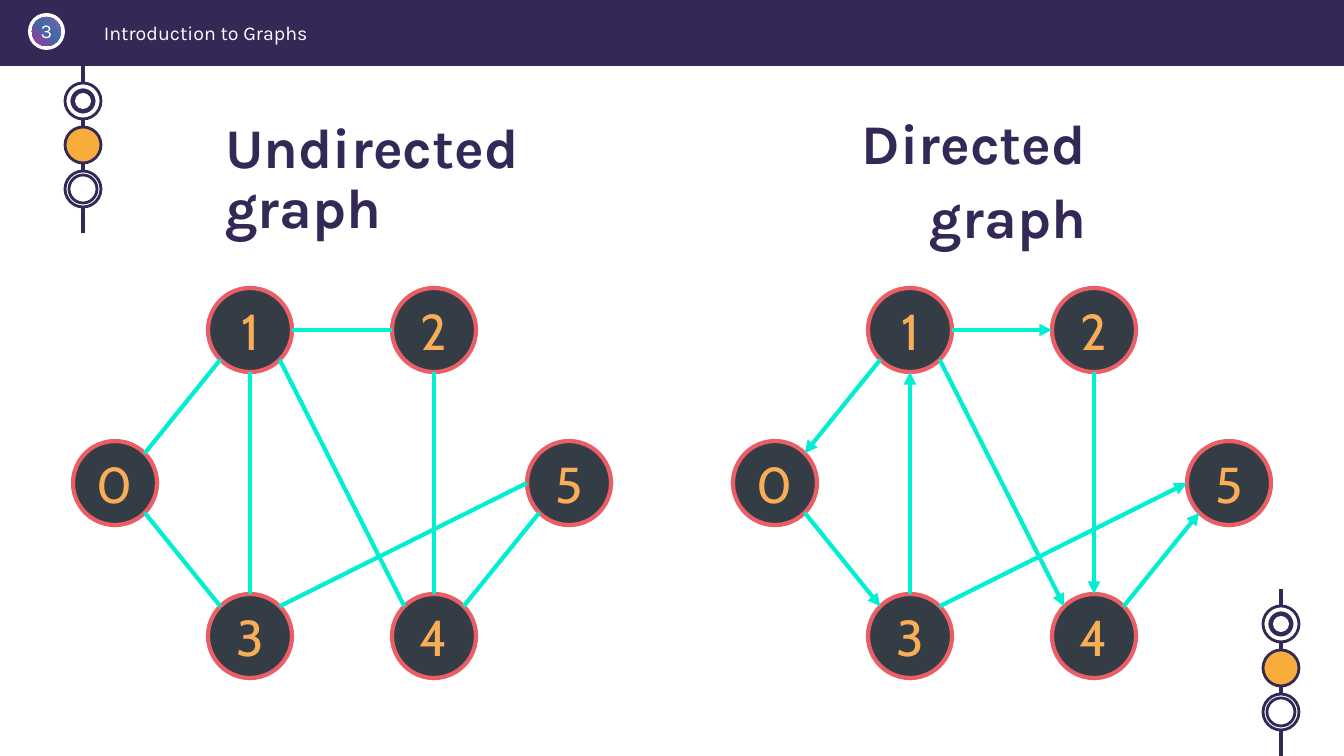
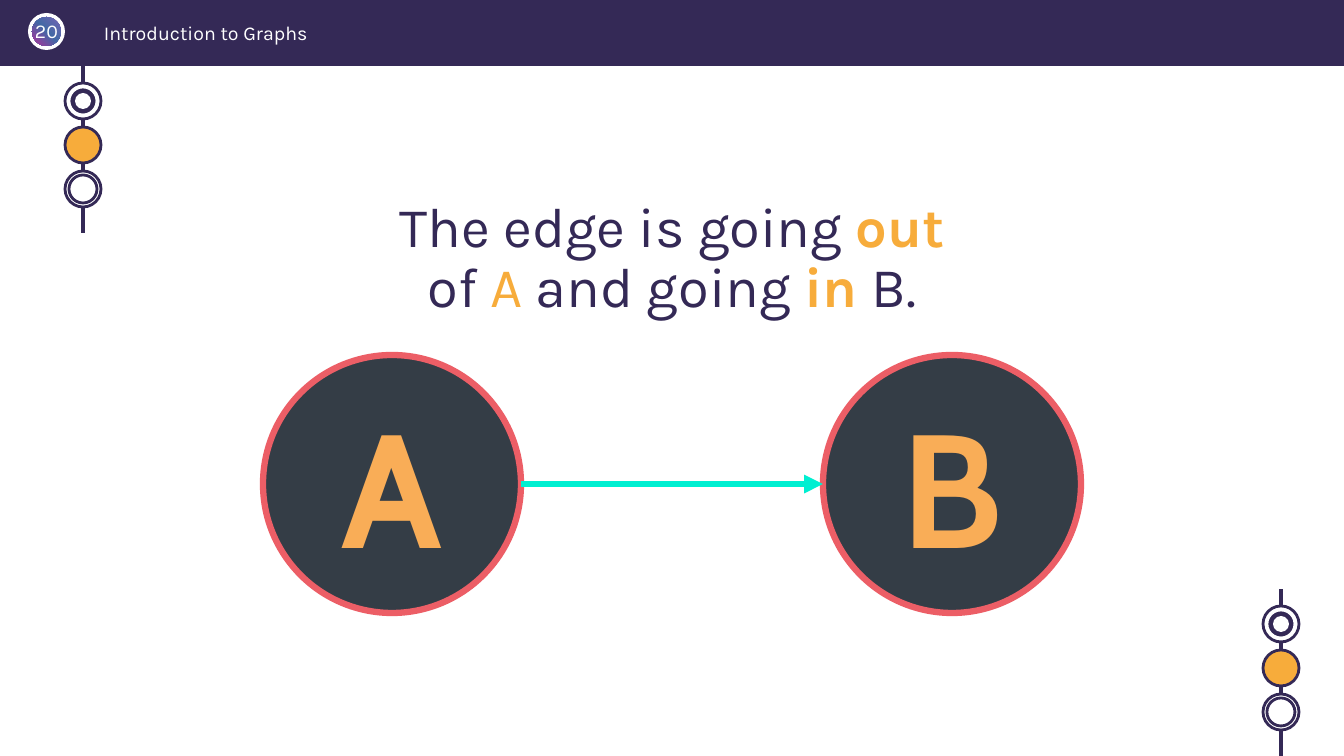
import copy
import enum
import math
from dataclasses import dataclass
from typing import Optional, Union

import lxml.etree
import pptx
import pptx.dml.color
import pptx.enum.dml
import pptx.enum.shapes
import pptx.enum.text
import pptx.oxml.ns
import pptx.shapes.autoshape
import pptx.shapes.connector
import pptx.shapes.shapetree
import pptx.slide
import pptx.text.text
import pptx.util

Canvas = Union[pptx.shapes.shapetree.SlideShapes, pptx.shapes.shapetree.GroupShapes]
Align = pptx.enum.text.PP_ALIGN
Anchor = pptx.enum.text.MSO_ANCHOR
Preset = pptx.enum.shapes.MSO_SHAPE
qn = pptx.oxml.ns.qn

EMU_PER_PX = 914400 / 100.8
SLIDE_WIDTH, SLIDE_HEIGHT = 1344, 756
HEADER_HEIGHT = 66

WHITE = "FFFFFF"
INDIGO = "342956"
AMBER = "F7AC3B"
NODE_FILL = "343D46"
NODE_RING = "EC5E66"
NODE_LABEL = "F9AD57"
EDGE = "00EFD1"
BADGE_STOPS = ((0, "7864B5"), (0.49, "4269A5"), (1, "B2329A"))

TEXT_FONT = "Karla"
NODE_FONT = "Cabin"
HEADING_SIZE = 40
HEADER_SIZE = 14


class Site(enum.IntEnum):
    TOP = 0
    TOP_LEFT = 1
    LEFT = 2
    BOTTOM_LEFT = 3
    BOTTOM = 4
    BOTTOM_RIGHT = 5
    RIGHT = 6
    TOP_RIGHT = 7


@dataclass(frozen=True)
class Box:
    left: int
    top: int
    width: int
    height: int


@dataclass(frozen=True)
class Words:
    text: str
    color: str = INDIGO
    bold: bool = False
    size: int = HEADING_SIZE
    font: str = TEXT_FONT


@dataclass(frozen=True)
class Node:
    label: str
    x: int
    y: int


@dataclass(frozen=True)
class Edge:
    start: str
    start_site: Site
    end: str
    end_site: Site


@dataclass(frozen=True)
class GraphStyle:
    radius: int
    line_width: float
    label_size: int
    bold: bool = False
    directed: bool = True


@dataclass(frozen=True)
class Ring:
    y: int
    diameter: int
    fill: str
    outline: Optional[str] = INDIGO


RINGS = (
    Ring(35, 36, WHITE),
    Ring(35, 28, INDIGO, WHITE),
    Ring(35, 16, WHITE, None),
    Ring(79, 36, AMBER),
    Ring(123, 36, WHITE),
    Ring(123, 28, WHITE),
)
BEAD_CORD_LENGTH = 167
BEAD_STRINGS = ((83, HEADER_HEIGHT), (1281, SLIDE_HEIGHT - BEAD_CORD_LENGTH))

SIX_NODES = (
    Node("0", 115, 483),
    Node("1", 250, 330),
    Node("2", 434, 330),
    Node("5", 569, 483),
    Node("4", 434, 636),
    Node("3", 250, 636),
)
SIX_NODE_EDGES = (
    Edge("1", Site.BOTTOM_LEFT, "0", Site.TOP_RIGHT),
    Edge("3", Site.TOP, "1", Site.BOTTOM),
    Edge("0", Site.BOTTOM_RIGHT, "3", Site.TOP_LEFT),
    Edge("1", Site.RIGHT, "2", Site.LEFT),
    Edge("1", Site.BOTTOM_RIGHT, "4", Site.TOP_LEFT),
    Edge("2", Site.BOTTOM, "4", Site.TOP),
    Edge("4", Site.TOP_RIGHT, "5", Site.BOTTOM_LEFT),
    Edge("3", Site.TOP_RIGHT, "5", Site.LEFT),
)
DIRECTED_SHIFT = 660
A_AND_B = (Node("A", 392, 484), Node("B", 952, 484))
A_TO_B = (Edge("A", Site.RIGHT, "B", Site.LEFT),)


def px(length: float) -> pptx.util.Emu:
    return pptx.util.Emu(round(length * EMU_PER_PX))


def rgb(code: str) -> pptx.dml.color.RGBColor:
    return pptx.dml.color.RGBColor.from_string(code)


def add_preset(canvas: Canvas, preset: Preset, box: Box, fill: str,
               outline: Optional[str] = None, width: float = 2) -> pptx.shapes.autoshape.Shape:
    shape = canvas.add_shape(preset, px(box.left), px(box.top), px(box.width), px(box.height))
    shape.shadow.inherit = False
    shape.fill.solid()
    shape.fill.fore_color.rgb = rgb(fill)
    if outline:
        shape.line.color.rgb = rgb(outline)
        shape.line.width = pptx.util.Pt(width)
    else:
        shape.line.fill.background()
    return shape


def add_circle(canvas: Canvas, x: int, y: int, diameter: int, fill: str,
               outline: Optional[str] = None, width: float = 2) -> pptx.shapes.autoshape.Shape:
    box = Box(x - diameter // 2, y - diameter // 2, diameter, diameter)
    return add_preset(canvas, Preset.OVAL, box, fill, outline, width)


def add_line(canvas: Canvas, start: tuple[float, float], end: tuple[float, float],
             color: str, width: float) -> pptx.shapes.connector.Connector:
    line = canvas.add_connector(pptx.enum.shapes.MSO_CONNECTOR.STRAIGHT,
                                px(start[0]), px(start[1]), px(end[0]), px(end[1]))
    line.line.color.rgb = rgb(color)
    line.line.width = pptx.util.Pt(width)
    lxml.etree.SubElement(line.element.spPr, qn("a:effectLst"))
    return line


def write(frame: pptx.text.text.TextFrame, paragraphs: list[list[Words]], align: Align,
          anchor: Anchor = Anchor.TOP, line_spacing: float = 1, gap: int = 0) -> None:
    frame.word_wrap = True
    frame.auto_size = pptx.enum.text.MSO_AUTO_SIZE.NONE
    frame.vertical_anchor = anchor
    for index, words_list in enumerate(paragraphs):
        paragraph = frame.add_paragraph() if index else frame.paragraphs[0]
        paragraph.alignment = align
        paragraph.line_spacing = line_spacing
        paragraph.space_before = pptx.util.Pt(gap if index else 0)
        for words in words_list:
            run = paragraph.add_run()
            run.text = words.text
            run.font.name = words.font
            run.font.size = pptx.util.Pt(words.size)
            run.font.bold = words.bold
            run.font.color.rgb = rgb(words.color)


def add_text(canvas: Canvas, box: Box) -> pptx.text.text.TextFrame:
    return canvas.add_textbox(px(box.left), px(box.top), px(box.width), px(box.height)).text_frame


def set_title(slide: pptx.slide.Slide, box: Box, words: list[Words], align: Align) -> None:
    title = slide.shapes.title
    title.left, title.top = px(box.left), px(box.top)
    title.width, title.height = px(box.width), px(box.height)
    write(title.text_frame, [words], align, line_spacing=0.9)


def add_badge(slide: pptx.slide.Slide, number: str) -> None:
    add_preset(slide.shapes, Preset.OVAL, Box(28, 13, 37, 37), WHITE)
    disc = add_preset(slide.shapes, Preset.OVAL, Box(32, 17, 29, 29), INDIGO)
    disc.fill.gradient()
    disc.fill.gradient_angle = 225
    first_stop = disc.element.spPr.find(qn("a:gradFill")).find(qn("a:gsLst"))[0]
    first_stop.addnext(copy.deepcopy(first_stop))
    for stop, (position, color) in zip(disc.fill.gradient_stops, BADGE_STOPS):
        stop.position = position
        stop.color.rgb = rgb(color)
    frame = add_text(slide.shapes, Box(28, 19, 37, 24))
    frame.margin_left = frame.margin_right = frame.margin_top = frame.margin_bottom = 0
    write(frame, [[Words(number, WHITE, size=HEADER_SIZE)]], Align.CENTER)


def add_beads(slide: pptx.slide.Slide, x: int, top: int) -> None:
    canvas = slide.shapes.add_group_shape().shapes
    add_line(canvas, (x, top + BEAD_CORD_LENGTH), (x, top), INDIGO, 2.25)
    for ring in RINGS:
        add_circle(canvas, x, top + ring.y, ring.diameter, ring.fill, ring.outline)


def add_slide(deck: pptx.presentation.Presentation, number: str) -> pptx.slide.Slide:
    slide = deck.slides.add_slide(deck.slide_layouts[5])
    add_preset(slide.shapes, Preset.RECTANGLE, Box(0, 0, SLIDE_WIDTH, HEADER_HEIGHT), INDIGO)
    add_badge(slide, number)
    course = Words("Introduction to Graphs", WHITE, size=HEADER_SIZE)
    write(add_text(slide.shapes, Box(94, 16, 565, 30)), [[course]], Align.LEFT)
    for x, top in BEAD_STRINGS:
        add_beads(slide, x, top)
    return slide


def site_point(node: Node, site: Site, radius: int, shift: int) -> tuple[float, float]:
    angle = math.radians(90 + 45 * site)
    return node.x + shift + radius * math.cos(angle), node.y - radius * math.sin(angle)


def add_graph(slide: pptx.slide.Slide, nodes: tuple[Node, ...], edges: tuple[Edge, ...],
              style: GraphStyle, shift: int = 0) -> None:
    canvas = slide.shapes.add_group_shape().shapes
    places = {node.label: node for node in nodes}
    circles = {}
    for node in nodes:
        circle = add_circle(canvas, node.x + shift, node.y, 2 * style.radius,
                            NODE_FILL, NODE_RING, style.line_width)
        label = Words(node.label, NODE_LABEL, style.bold, style.label_size, NODE_FONT)
        write(circle.text_frame, [[label]], Align.CENTER, Anchor.MIDDLE)
        circles[node.label] = circle
    for edge in edges:
        line = add_line(canvas,
                        site_point(places[edge.start], edge.start_site, style.radius, shift),
                        site_point(places[edge.end], edge.end_site, style.radius, shift),
                        EDGE, style.line_width)
        joints = line.element.nvCxnSpPr.cNvCxnSpPr
        for tag, label, site in (("a:stCxn", edge.start, edge.start_site),
                                 ("a:endCxn", edge.end, edge.end_site)):
            lxml.etree.SubElement(joints, qn(tag), id=str(circles[label].shape_id),
                                  idx=str(int(site)))
        if style.directed:
            outline = line.element.spPr.find(qn("a:ln"))
            lxml.etree.SubElement(outline, qn("a:tailEnd"), type="triangle")


def build_graph_kinds(deck: pptx.presentation.Presentation) -> None:
    slide = add_slide(deck, "3")
    set_title(slide, Box(215, 115, 320, 139), [Words("Undirected graph", bold=True)], Align.LEFT)
    write(add_text(slide.shapes, Box(776, 111, 320, 146)),
          [[Words("Directed", bold=True)], [Words("graph", bold=True)]],
          Align.RIGHT, line_spacing=0.9, gap=10)
    add_graph(slide, SIX_NODES, SIX_NODE_EDGES, GraphStyle(42, 3, 36, directed=False))
    add_graph(slide, SIX_NODES, SIX_NODE_EDGES, GraphStyle(42, 3, 36), DIRECTED_SHIFT)


def build_edge_direction(deck: pptx.presentation.Presentation) -> None:
    slide = add_slide(deck, "20")
    sentence = [
        Words("The edge is going "),
        Words("out ", AMBER, True),
        Words("of "),
        Words("A ", AMBER),
        Words("and going "),
        Words("in ", AMBER, True),
        Words("B."),
    ]
    set_title(slide, Box(368, 194, 608, 131), sentence, Align.CENTER)
    add_graph(slide, A_AND_B, A_TO_B, GraphStyle(129, 4.5, 115, bold=True))


def main() -> None:
    deck = pptx.Presentation()
    deck.slide_width, deck.slide_height = px(SLIDE_WIDTH), px(SLIDE_HEIGHT)
    build_graph_kinds(deck)
    build_edge_direction(deck)
    deck.save("out.pptx")


if __name__ == "__main__":
    main()
